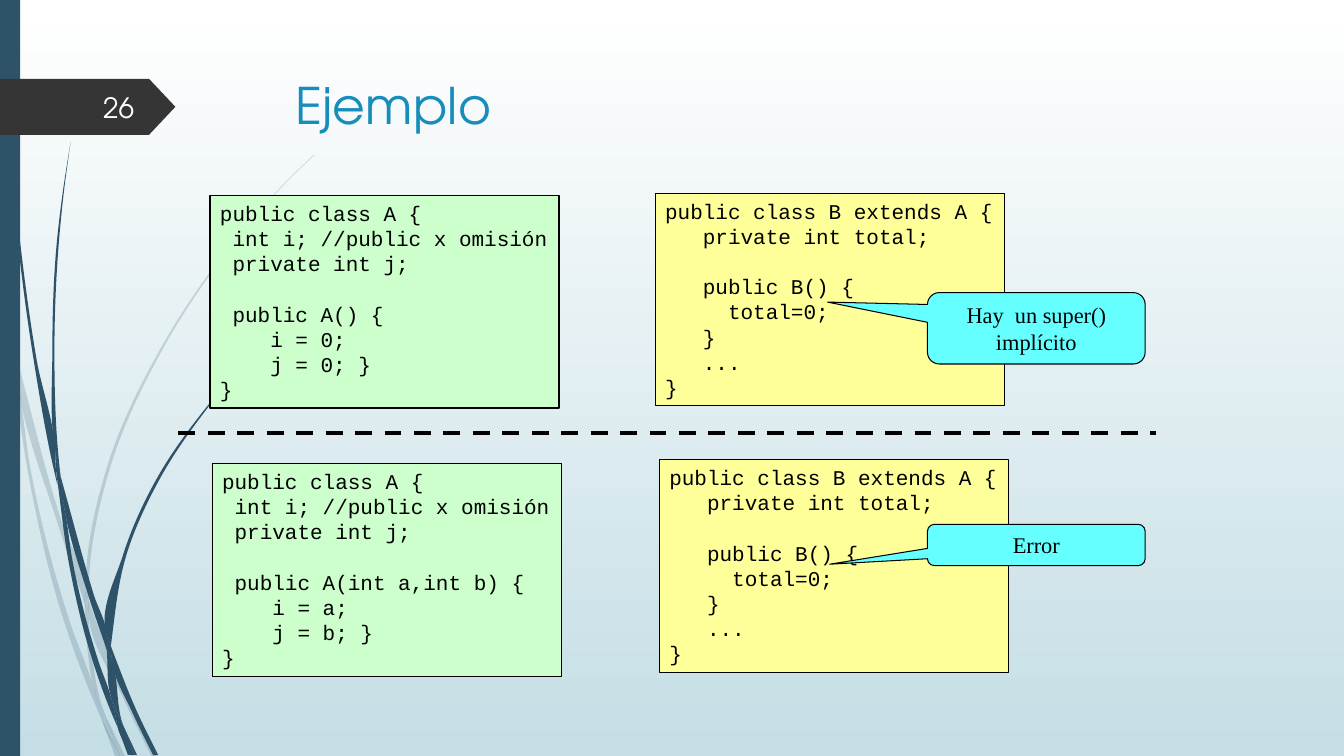
from math import dist
from lxml.etree import SubElement
from pptx import Presentation
from pptx.dml.color import RGBColor
from pptx.enum.dml import MSO_LINE
from pptx.enum.shapes import MSO_CONNECTOR, MSO_SHAPE
from pptx.enum.text import MSO_ANCHOR, PP_ALIGN
from pptx.oxml.ns import qn
from pptx.util import Pt

BLACK = RGBColor(0x00, 0x00, 0x00)
WHITE = RGBColor(0xFF, 0xFF, 0xFF)
SKY = RGBColor(0xC5, 0xDE, 0xE5)
NAVY = RGBColor(0x2E, 0x53, 0x69)
CHARCOAL = RGBColor(0x35, 0x35, 0x35)
TITLE_BLUE = RGBColor(0x17, 0x8D, 0xBB)
GREEN = RGBColor(0xCC, 0xFF, 0xCC)
YELLOW = RGBColor(0xFF, 0xFF, 0x99)
CYAN = RGBColor(0x66, 0xFF, 0xFF)

HEADING_FONT = "TeX Gyre Adventor"
CODE_FONT = "Courier New"
NOTE_FONT = "Times New Roman"
CODE_LINE = 18

# Knots around each blade of grass.
FAINT_BLADES = [
    [(7.9, 252), (6.5, 231.8), (0, 203), (0, 215.3), (7.2, 247.7)],
    [(41.8, 375.8), (60.5, 431.3), (61.2, 421.9), (44.6, 374.4), (10.1, 248.4), (12.2, 270.7)],
    [(66.2, 437), (63.4, 429.1), (63.4, 439.2), (88.6, 499.7), (108, 540), (111.6, 540),
     (91.4, 498.2)],
    [(85.7, 540), (89.3, 540), (75.6, 511.9)],
    [(67, 491.8), (50.4, 445.7), (22.3, 337.7), (12.2, 270.7), (7.9, 252), (20.2, 338.4),
     (46.8, 447.1), (66.2, 499), (72.7, 514.1), (71.3, 509)],
    [(60.5, 431.3), (62.6, 465.1), (67, 491.8), (69.1, 498.2), (75.6, 511.9), (74.2, 508.3),
     (65.5, 465.1), (63.4, 439.2), (63.4, 437.8)],
    [(63.4, 420.5), (79.2, 332.6), (115.2, 251.3), (164.9, 176.4), (193, 142.6), (208.8, 126),
     (224.6, 110.9), (224.6, 110.2), (208.1, 126), (193, 141.8), (164.2, 175.7),
     (113.8, 250.6), (77, 331.9), (61.2, 420.5), (61.2, 421.9), (63.4, 429.1)],
    [(72.7, 514.1), (82.1, 540), (85.7, 540)],
    [(63.4, 437.8), (63.4, 439.2), (63.4, 429.1), (61.2, 421.9), (60.5, 431.3)],
    [(69.1, 498.2), (67, 491.8), (71.3, 509), (72.7, 514.1), (85.7, 540), (75.6, 511.9)],
]
DARK_BLADES = [
    [(5, 79.2), (12.2, 167.8), (23.8, 255.6), (40.3, 343.4), (41, 346.3), (39.6, 329),
     (39.6, 326.2), (25.9, 255.6), (13.7, 167), (5.8, 78.5), (3.6, 34.6), (2.9, 0),
     (2.2, 0), (2.9, 34.6)],
    [(63.4, 426.2), (76.3, 464.4), (76.3, 455.8), (76.3, 454.3), (67, 424.8), (43.2, 339.8),
     (46.1, 363.6)],
    [(81.4, 467.3), (79.2, 461.5), (79.9, 472.3), (95, 509.8), (109.4, 539.3), (113, 539.3),
     (97.9, 508.3)],
    [(79.2, 497.5), (70.6, 473), (51.8, 400.3), (46.1, 363.6), (41, 343.4), (49, 401),
     (67, 474.5), (79.9, 509.8), (84.2, 519.8), (83.5, 516.2)],
    [(43.2, 339.8), (41.8, 326.2), (38.9, 251.3), (41.8, 176.4), (45.4, 139), (50.4, 101.5),
     (44.6, 139), (40.3, 176.4), (37.4, 251.3), (39.6, 323.3)],
    [(95.8, 539.3), (97.9, 539.3), (87.8, 517.7)],
    [(41, 343.4), (46.1, 363.6), (43.2, 339.8), (39.6, 323.3), (39.6, 326.2)],
    [(79.9, 455.8), (90, 397.4), (113.8, 342.7), (147.6, 292.3), (166.3, 269.3),
     (176.4, 258.5), (187.9, 247.7), (187.2, 247.7), (176.4, 257.8), (166.3, 268.6),
     (146.9, 291.6), (112.3, 341.3), (87.8, 396.7), (76.3, 454.3), (79.2, 461.5)],
    [(84.2, 519.8), (91.4, 539.3), (94.3, 539.3)],
    [(76.3, 464.4), (79.2, 497.5), (83.5, 508.3), (87.8, 517.7), (87.1, 515.5),
     (79.9, 472.3), (78.5, 468.7)],
    [(76.3, 464.4), (78.5, 468.7), (79.9, 472.3), (79.2, 461.5), (76.3, 454.3), (76.3, 455.8)],
    [(83.5, 508.3), (79.2, 497.5), (83.5, 516.2), (84.2, 519.8), (93.6, 539.3),
     (95.8, 539.3), (87.8, 517.7)],
]

CLASS_A = """public class A {
 int i; //public x omisión
 private int j;

 public A({parameters}) {
    i = {first};
    j = {second}; }
}"""
CLASS_B = """public class B extends A {
   private int total;

   public B() {
     total=0;
   }
   ...
}"""


def handle(knot, neighbor, opposite):
    """Return the control point beside knot toward neighbor; sharp corners stay sharp."""
    reach, back = dist(knot, neighbor), dist(knot, opposite)
    ahead = [(n - k) / reach for k, n in zip(knot, neighbor)]
    behind = [(k - o) / back for k, o in zip(knot, opposite)]
    if sum(a * b for a, b in zip(ahead, behind)) > 0.8:
        ahead = [(a * back + b * reach) / (back + reach) for a, b in zip(ahead, behind)]
    return tuple(k + a * reach / 3 for k, a in zip(knot, ahead))


def add_blade(slide, knots, opacity):
    points = [(Pt(x), Pt(y)) for x, y in knots]
    builder = slide.shapes.build_freeform(*points[0])
    builder.add_line_segments(points[1:] + points[:1], close=True)
    shape = builder.convert_to_shape()
    paint(shape, NAVY)
    count = len(points)
    for index, segment in enumerate(list(shape._element.iter(qn("a:lnTo")))):
        before, start, end, after = (points[(index + step) % count] for step in (-1, 0, 1, 2))
        segment.tag = qn("a:cubicBezTo")
        segment.remove(segment[0])
        for x, y in (handle(start, end, before), handle(end, start, after), end):
            SubElement(segment, qn("a:pt"), x=str(round(x - shape.left)),
                       y=str(round(y - shape.top)))
    if opacity < 100:
        color = shape._element.spPr.find(qn("a:solidFill"))[0]
        SubElement(color, qn("a:alpha"), val=str(opacity * 1000))


def paint(shape, fill, line=None):
    shape.shadow.inherit = False
    shape.fill.solid()
    shape.fill.fore_color.rgb = fill
    if line is None:
        shape.line.fill.background()
    else:
        shape.line.color.rgb = line
        shape.line.width = Pt(0.75)


def add_box(slide, kind, left, top, width, height, fill, line=None):
    shape = slide.shapes.add_shape(kind, Pt(left), Pt(top), Pt(width), Pt(height))
    paint(shape, fill, line)
    return shape


def write(shape, text, *, font, size, color=BLACK, align=PP_ALIGN.LEFT,
          anchor=MSO_ANCHOR.TOP, wrap=True, line_spacing=None):
    """Write one paragraph per line; an empty line becomes space before the next."""
    frame = shape.text_frame
    frame.word_wrap, frame.vertical_anchor = wrap, anchor
    paragraph, gap = frame.paragraphs[0], 0
    for index, line in enumerate(text.split("\n")):
        if not line:
            gap = line_spacing
            continue
        if index:
            paragraph = frame.add_paragraph()
        paragraph.alignment, paragraph.space_before = align, Pt(gap)
        if line_spacing:
            paragraph.line_spacing = Pt(line_spacing)
        run = paragraph.add_run()
        run.text = line
        run.font.name, run.font.size = font, Pt(size)
        run.font.color.rgb = color
        gap = 0


def add_code(slide, left, top, fill, code):
    box = add_box(slide, MSO_SHAPE.RECTANGLE, left, top, 249.3, 152, fill, BLACK)
    write(box, code, font=CODE_FONT, size=15, wrap=False, line_spacing=CODE_LINE)


def add_callout(slide, top, height, tip, text):
    callout = add_box(slide, MSO_SHAPE.ROUNDED_RECTANGULAR_CALLOUT,
                      662.5, top, 155.5, height, CYAN, BLACK)
    callout.adjustments[0], callout.adjustments[1] = tip
    write(callout, text, font=NOTE_FONT, size=16, align=PP_ALIGN.CENTER,
          anchor=MSO_ANCHOR.MIDDLE)


def add_divider(slide, left, right, top):
    divider = slide.shapes.add_connector(
        MSO_CONNECTOR.STRAIGHT, Pt(left), Pt(top), Pt(right), Pt(top))
    divider.line.color.rgb = BLACK
    divider.line.width, divider.line.dash_style = Pt(3), MSO_LINE.DASH
    SubElement(divider._element.spPr, qn("a:effectLst"))


def add_backdrop(slide):
    fill = slide.background.fill
    fill.gradient()
    fill.gradient_angle = 270
    for stop, color in zip(fill.gradient_stops, (WHITE, SKY)):
        stop.color.rgb = color
    for blades, opacity in ((FAINT_BLADES, 20), (DARK_BLADES, 100)):
        for knots in blades:
            add_blade(slide, knots, opacity)
    add_box(slide, MSO_SHAPE.RECTANGLE, 0, 0, 14.5, 540, NAVY)


def add_heading(slide, title, number):
    arrow = add_box(slide, MSO_SHAPE.PENTAGON, 0, 56.3, 125.3, 40, CHARCOAL)
    arrow.adjustments[0] = 0.47
    heading = slide.shapes.title
    heading.left, heading.top, heading.width, heading.height = map(Pt, (204, 49, 702, 101))
    write(heading, title, font=HEADING_FONT, size=36, color=TITLE_BLUE)
    label = slide.shapes.add_textbox(Pt(42), Pt(62), Pt(61), Pt(29))
    write(label, number, font=HEADING_FONT, size=20, color=WHITE,
          align=PP_ALIGN.RIGHT, anchor=MSO_ANCHOR.MIDDLE)


def class_a(parameters, first, second):
    code = CLASS_A.replace("{parameters}", parameters)
    return code.replace("{first}", first).replace("{second}", second)


def main():
    presentation = Presentation()
    presentation.slide_width, presentation.slide_height = Pt(960), Pt(540)
    slide = presentation.slides.add_slide(presentation.slide_layouts[5])
    add_backdrop(slide)
    add_heading(slide, "Ejemplo", "26")
    add_code(slide, 150, 139.5, GREEN, class_a("", "0", "0"))
    add_code(slide, 468, 138, YELLOW, CLASS_B)
    add_callout(slide, 209, 51, (-0.959, -0.367), "Hay  un super() implícito")
    add_code(slide, 471, 328.3, YELLOW, CLASS_B)
    add_code(slide, 151.5, 331, GREEN, class_a("int a,int b", "a", "b"))
    add_divider(slide, 127.5, 826, 309.5)
    add_callout(slide, 374.5, 29.5, (-0.949, 0.466), "Error")
    presentation.save("out.pptx")


if __name__ == "__main__":
    main()
